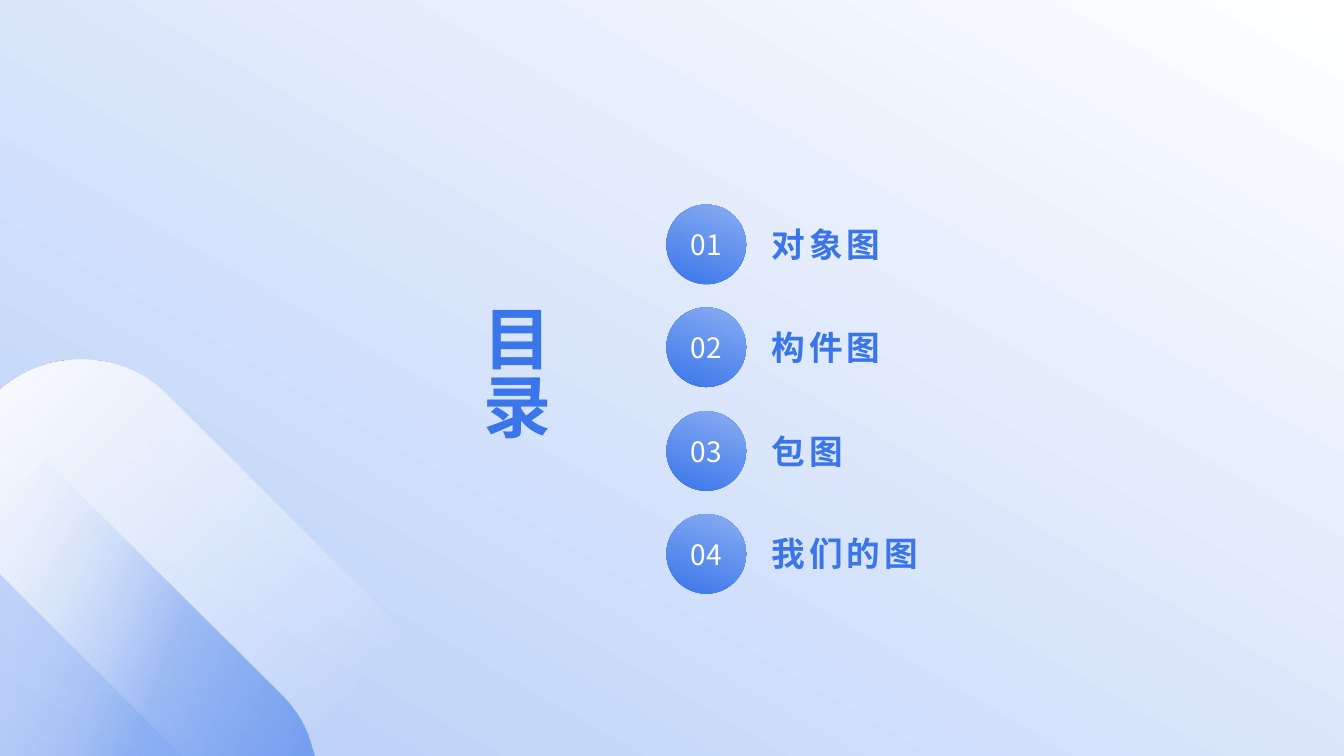
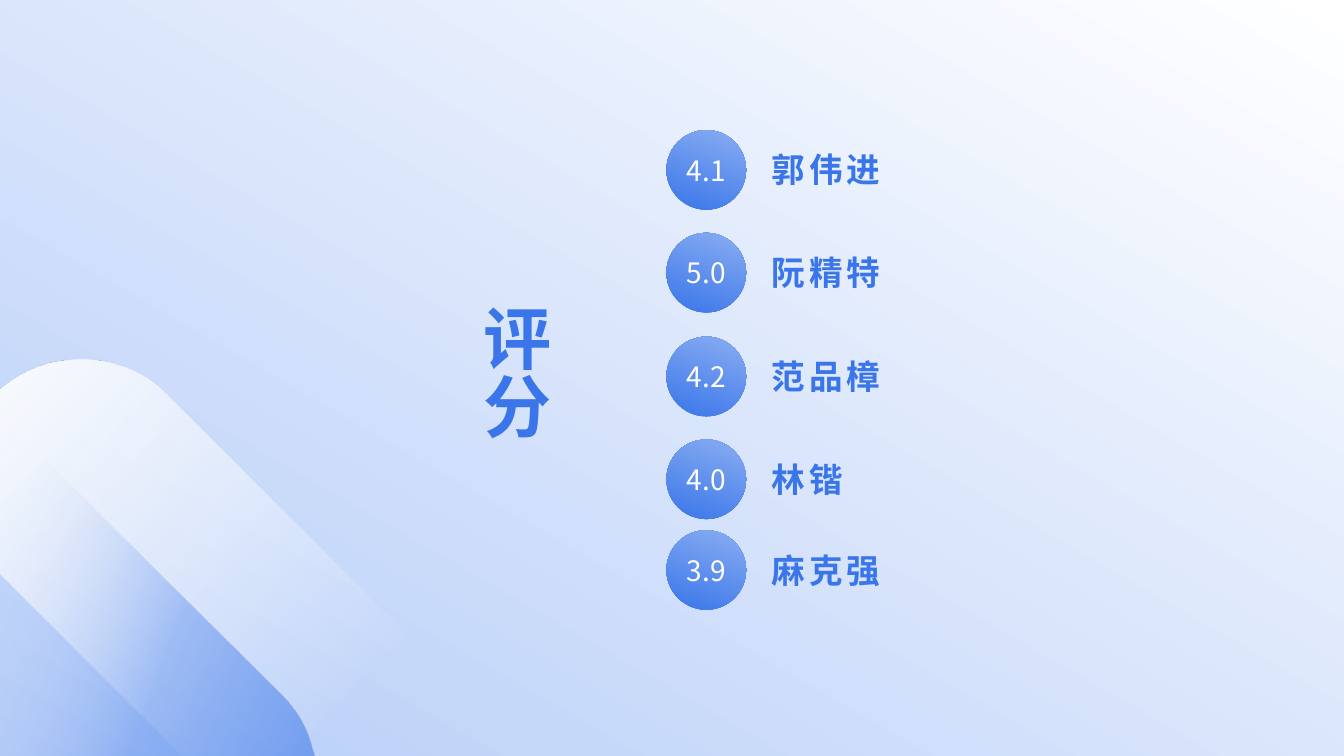
from typing import NamedTuple

from lxml import etree
from pptx import Presentation
from pptx.dml.color import RGBColor
from pptx.enum.shapes import MSO_SHAPE
from pptx.enum.text import MSO_ANCHOR, MSO_AUTO_SIZE, PP_ALIGN
from pptx.oxml.ns import qn
from pptx.util import Emu, Pt

RECT, OVAL = MSO_SHAPE.RECTANGLE, MSO_SHAPE.OVAL
MIDDLE, FIXED = MSO_ANCHOR.MIDDLE, MSO_AUTO_SIZE.NONE
LEFT, CENTER = PP_ALIGN.LEFT, PP_ALIGN.CENTER

# Look
FONT = "Noto Sans CJK SC"
BLUE = RGBColor(0x3A, 0x76, 0xE9)
SOFT = RGBColor(0x89, 0xAD, 0xF2)
SKY = RGBColor(0xB6, 0xCD, 0xF8)
PALE = RGBColor(0xD8, 0xE4, 0xFB)
MIST = RGBColor(0xF9, 0xFB, 0xFE)
SNOW = RGBColor(0xFB, 0xFC, 0xFF)
WHITE = RGBColor(0xFF, 0xFF, 0xFF)

# Sizes in px, 100 to the inch
SCALE = 9144
WIDE, HIGH = 1333, 750
DISC, LABEL = 79, 102
DISC_X, LABEL_X, LABEL_W = 661, 765, 348
PITCH = 307 / 3


class Stop(NamedTuple):
    at: int
    color: RGBColor
    alpha: int = 100


class Style(NamedTuple):
    size: float
    color: RGBColor
    bold: bool = False
    track: int = 0
    align: PP_ALIGN = LEFT
    lead: float = 1.0


class Item(NamedTuple):
    mark: str
    name: str
    lift: int = 0


class Page(NamedTuple):
    title: str
    top: int
    items: list[Item]


class Curve(NamedTuple):
    ctrl1: tuple[int, int]
    ctrl2: tuple[int, int]
    end: tuple[int, int]


HEAD = Style(48.6, BLUE, True, 3, LEFT, 0.83)
NAME = Style(24, BLUE, True, 3)
MARK = Style(20, WHITE, align=CENTER)

# Gradients
BACK = [Stop(0, SKY), Stop(100, WHITE)]
GLOW = [Stop(0, MIST), Stop(87, SNOW, 0)]
TINT = [Stop(0, WHITE, 0), Stop(56, BLUE, 34), Stop(98, BLUE, 55)]
BALL = [Stop(0, BLUE), Stop(100, SOFT)]

# Corner bars
BAR = [(81, 357), Curve((112, 357), (143, 368), (166, 392)), (404, 630),
       (285, 750), (181, 750), (0, 569), (0, 387), (4, 384),
       Curve((26, 366), (53, 357), (81, 357))]
SHADE = [(45, 457), (279, 689), Curve((294, 704), (304, 721), (309, 740)),
         (312, 750), (0, 750), (0, 501)]

PAGES = [
    Page("目录", 203, [Item("01", "对象图"), Item("02", "构件图"),
                     Item("03", "包图"), Item("04", "我们的图")]),
    Page("评分", 129, [Item("4.1", "郭伟进"), Item("5.0", "阮精特"),
                     Item("4.2", "范品樟"), Item("4.0", "林锴"),
                     Item("3.9", "麻克强", lift=12)]),
]


def px(n: float) -> Emu:
    return Emu(round(n * SCALE))


def box(x: int, y: int, w: int, h: int) -> list[Emu]:
    return [px(n) for n in (x, y, w, h)]


def shade(shape, stops: list[Stop], angle: int) -> None:
    """Fill with a linear gradient, clockwise angle, and no outline."""
    shape.shadow.inherit = False
    shape.line.fill.background()
    shape.fill.background()
    grad = etree.Element(qn("a:gradFill"), rotWithShape="1")
    group = etree.SubElement(grad, qn("a:gsLst"))
    for stop in stops:
        node = etree.SubElement(group, qn("a:gs"), pos=str(stop.at * 1000))
        tone = etree.SubElement(node, qn("a:srgbClr"), val=str(stop.color))
        if stop.alpha < 100:
            etree.SubElement(tone, qn("a:alpha"), val=str(stop.alpha * 1000))
    etree.SubElement(grad, qn("a:lin"), ang=str(angle * 60000), scaled="0")
    props = shape.element.spPr
    props.replace(props.find(qn("a:noFill")), grad)


def write(shape, text: str, style: Style, wrap: bool = True) -> None:
    frame = shape.text_frame
    frame.margin_left = frame.margin_right = 0
    frame.margin_top = frame.margin_bottom = 0
    frame.auto_size, frame.word_wrap = FIXED, wrap
    frame.vertical_anchor = MIDDLE
    para = frame.paragraphs[0]
    para.text = text
    para.alignment, para.line_spacing = style.align, style.lead
    font = para.font
    font.name, font.size, font.bold = FONT, Pt(style.size), style.bold
    font.color.rgb = style.color
    for node in shape.element.iter(qn("a:defRPr")):
        node.set("spc", str(style.track * 100))
        etree.SubElement(node, qn("a:ea"), typeface=FONT)


def trace(steps: list, count: int = 16) -> list[tuple[float, float]]:
    """Turn corners and Bézier curves into one run of points."""
    points = []
    for step in steps:
        if not isinstance(step, Curve):
            points.append(step)
            continue
        start = points[-1]
        for i in range(1, count + 1):
            t = i / count
            u = 1 - t
            points.append(tuple(
                u**3 * a + 3 * u * u * t * b + 3 * u * t * t * c + t**3 * d
                for a, b, c, d in zip(start, *step)))
    return points


def outline(slide, steps: list):
    first, *rest = [(px(x), px(y)) for x, y in trace(steps)]
    pen = slide.shapes.build_freeform(*first, scale=1.0)
    pen.add_line_segments(rest, close=True)
    return pen.convert_to_shape()


def dress(slide, layout) -> None:
    """Draw the shared backdrop and move it into the layout."""
    layout.background.fill.solid()
    layout.background.fill.fore_color.rgb = PALE
    back = slide.shapes.add_shape(RECT, *box(0, 0, WIDE, HIGH))
    parts = [(back, BACK, 300), (outline(slide, BAR), GLOW, 40),
             (outline(slide, SHADE), TINT, 20)]
    for i, (shape, stops, angle) in enumerate(parts):
        shade(shape, stops, angle)
        layout.shapes.element.insert(2 + i, shape.element)


def row(slide, item: Item, y: int) -> None:
    disc = slide.shapes.add_shape(OVAL, *box(DISC_X, y, DISC, DISC))
    shade(disc, BALL, 290)
    write(disc, item.mark, MARK, wrap=False)
    top = y - round((LABEL - DISC) / 2)
    label = slide.shapes.add_textbox(*box(LABEL_X, top, LABEL_W, LABEL))
    write(label, item.name, NAME)


def fill(slide, page: Page) -> None:
    title = slide.shapes.title
    title.left, title.top, title.width, title.height = box(480, 309, 85, 133)
    write(title, page.title, HEAD)
    for i, item in enumerate(page.items):
        row(slide, item, page.top + round(i * PITCH) - item.lift)


def main() -> None:
    deck = Presentation()
    deck.slide_width, deck.slide_height = px(WIDE), px(HIGH)
    layout = deck.slide_layouts[5]
    slides = [deck.slides.add_slide(layout) for _ in PAGES]
    dress(slides[0], layout)
    for slide, page in zip(slides, PAGES):
        fill(slide, page)
    deck.save("out.pptx")


if __name__ == "__main__":
    main()
